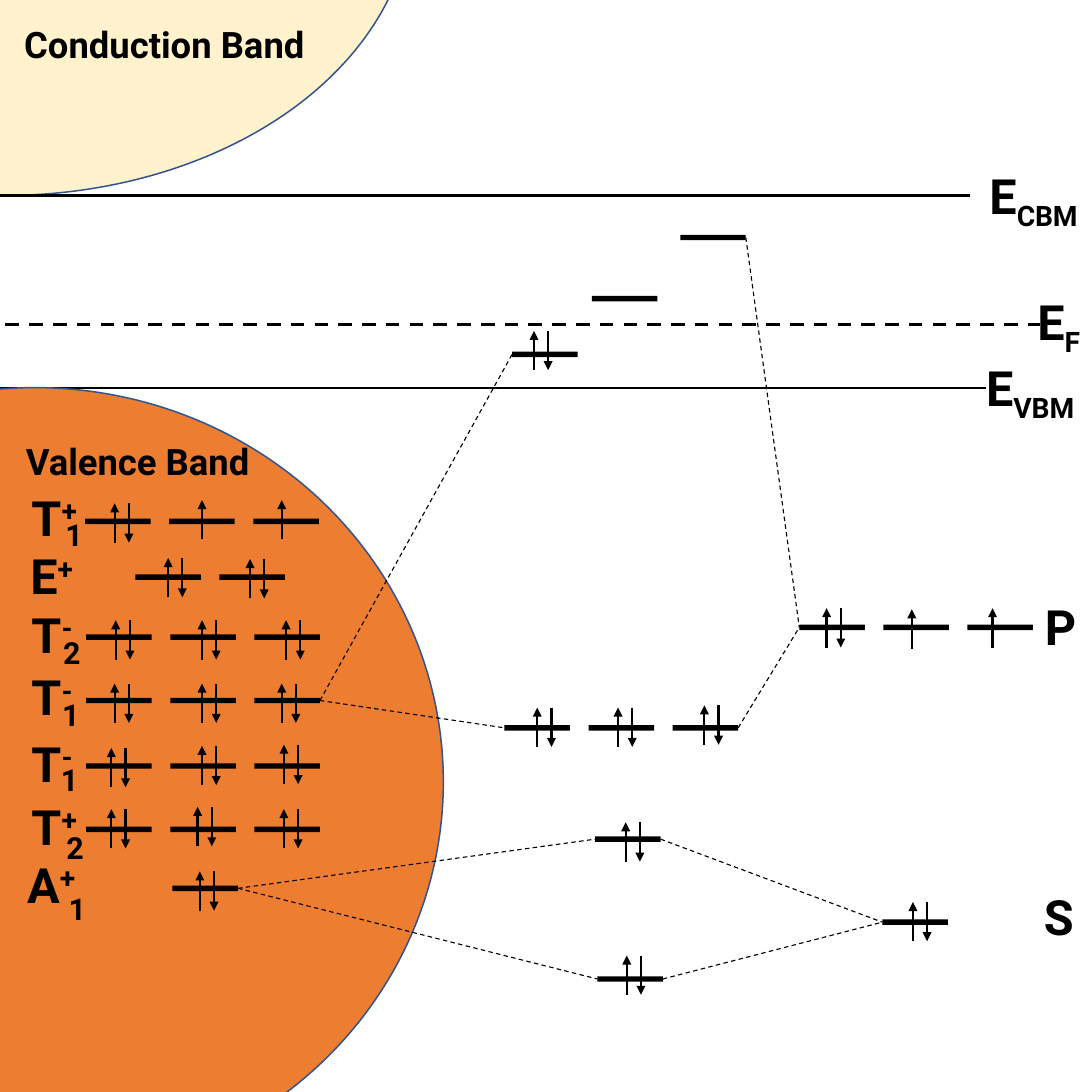
from pptx import Presentation
from pptx.dml.color import RGBColor
from pptx.enum.dml import MSO_LINE
from pptx.enum.shapes import MSO_CONNECTOR, MSO_SHAPE
from pptx.enum.text import PP_ALIGN
from pptx.oxml.ns import qn
from pptx.util import Inches, Pt
from lxml import etree

STRAIGHT = MSO_CONNECTOR.STRAIGHT
CIRCLE, BAR = MSO_SHAPE.FLOWCHART_CONNECTOR, MSO_SHAPE.RECTANGLE
DASH = MSO_LINE.DASH
LEFT, CENTER = PP_ALIGN.LEFT, PP_ALIGN.CENTER

THEME = {
    "font": "Roboto",
    "ink": RGBColor(0, 0, 0),
    "outline": RGBColor.from_string("325491"),
    "valence": RGBColor.from_string("ED7D31"),
    "conduction": RGBColor.from_string("FFF2CC"),
    "symbol": Pt(32), "band": Pt(24), "index": Pt(20),
}
BAR_WIDTH, BAR_HEIGHT, PITCH = 0.6, 0.05, 0.77
SPIN_HEIGHT, SPIN_GAP = 0.36, 0.13

deck = Presentation()
deck.slide_width = deck.slide_height = Inches(10)
slide = deck.slides.add_slide(deck.slide_layouts[6])


def add_line(start, end, width, dash=None, arrow=False):
    line = slide.shapes.add_connector(STRAIGHT, *map(Inches, (*start, *end)))
    line.line.color.rgb = THEME["ink"]
    line.line.width = Pt(width)
    if dash:
        line.line.dash_style = dash
    properties = line._element.spPr
    if arrow:
        etree.SubElement(properties.find(qn("a:ln")), qn("a:tailEnd"), type="triangle")
    etree.SubElement(properties, qn("a:effectLst"))


def add_label(frame, text, size, align=LEFT, script="", baseline=0, inset=True, wrap=True):
    box = slide.shapes.add_textbox(*map(Inches, frame)).text_frame
    box.word_wrap = wrap
    if not inset:
        for side in ("left", "top", "right", "bottom"):
            setattr(box, f"margin_{side}", 0)
    para = box.paragraphs[0]
    para.alignment = align
    for part, shift in ((text, 0), (script, baseline)):
        if part:
            span = para.add_run()
            span.text = part
            for name, value in {"name": THEME["font"], "size": THEME[size], "bold": True}.items():
                setattr(span.font, name, value)
            span.font.color.rgb = THEME["ink"]
            if shift:
                span._r.get_or_add_rPr().set("baseline", str(shift * 1000))


add_line((-0.35, 3.55), (9.03, 3.55), 1.5)
for band, frame in (("valence", (-3.42, 3.55, 7.48, 7.22)),
                    ("conduction", (-3.7, -3.66, 7.48, 5.45))):
    disc = slide.shapes.add_shape(CIRCLE, *map(Inches, frame))
    disc.shadow.inherit = False
    disc.fill.solid()
    disc.fill.fore_color.rgb = THEME[band]
    disc.line.color.rgb = THEME["outline"]
    disc.line.width = Pt(1)
add_line((-0.48, 1.79), (8.88, 1.79), 1.5)
add_line((0.05, 2.97), (9.52, 2.97), 2.25, DASH)

for frame, script, align, wrap in (
    ((8.88, 1.52, 1.17, 0.54), "CBM", CENTER, True),
    ((9.03, 3.28, 1.04, 0.54), "VBM", LEFT, True),
    ((9.5, 2.67, 0.48, 0.54), "F", LEFT, False),
):
    add_label(frame, "E", "symbol", align, script, -25, inset=False, wrap=wrap)
for frame, text, size in (
    ((9.47, 5.42, 0.42, 0.64), "P", "symbol"),
    ((9.46, 8.07, 0.42, 0.64), "S", "symbol"),
    ((0.05, 3.97, 2.42, 0.5), "Valence Band", "band"),
    ((0.02, 0.15, 2.97, 0.5), "Conduction Band", "band"),
):
    add_label(frame, text, size, CENTER)

for left, top, letter, sign, index, index_left, index_top in (
    (0.19, 4.42, "T", "+", "1", 0.5, 4.68),
    (0.18, 4.95, "E", "+", "", 0, 0),
    (0.19, 5.49, "T", "-", "2", 0.48, 5.76),
    (0.19, 6.06, "T", "-", "1", 0.47, 6.33),
    (0.19, 6.67, "T", "-", "1", 0.46, 6.92),
    (0.19, 7.25, "T", "+", "2", 0.51, 7.54),
    (0.15, 7.78, "A", "+", "1", 0.53, 8.1),
):
    add_label((left, top, 0.77, 0.64), letter, "symbol", LEFT, sign, 30)
    if index:
        add_label((index_left, index_top, 0.26, 0.44), index, "index", CENTER)

# level name: left, top, bar count, spins as (x, top, electrons)
LEVELS = {
    "T1 upper": (0.78, 4.75, 3, [(1.05, 4.61, 2), (1.85, 4.58, 1), (2.58, 4.58, 1)]),
    "E": (1.24, 5.26, 2, [(1.54, 5.11, 2), (2.29, 5.12, 2)]),
    "T2 upper": (0.79, 5.81, 3, [(1.06, 5.68, 2), (1.85, 5.68, 2), (2.62, 5.68, 2)]),
    "T1 middle": (0.79, 6.39, 3, [(1.05, 6.26, 2), (1.85, 6.26, 2), (2.58, 6.26, 2)]),
    "T1 lower": (0.79, 6.99, 3, [(1.02, 6.85, 2), (1.85, 6.83, 2), (2.6, 6.82, 2)]),
    "T2 lower": (0.79, 7.57, 3, [(1.02, 7.41, 2), (1.81, 7.39, 2), (2.6, 7.41, 2)]),
    "A1": (1.58, 8.11, 1, [(1.83, 7.98, 2)]),
    "gap low": (4.69, 3.22, 1, [(4.89, 3.03, 2)]),
    "gap middle": (5.42, 2.71, 1, []),
    "gap high": (6.23, 2.15, 1, []),
    "mixed P": (4.62, 6.64, 3, [(4.92, 6.48, 2), (5.66, 6.48, 2), (6.45, 6.46, 2)]),
    "mixed S high": (5.45, 7.66, 1, [(5.73, 7.53, 2)]),
    "mixed S low": (5.47, 8.94, 1, [(5.74, 8.75, 2)]),
    "P": (7.32, 5.72, 3, [(7.57, 5.57, 2), (8.35, 5.58, 1), (9.09, 5.57, 1)]),
    "S": (8.08, 8.42, 1, [(8.36, 8.26, 2)]),
}
starts, ends = {}, {}
for name, (left, top, count, spins) in LEVELS.items():
    for column in range(count):
        frame = (left + column * PITCH, top, BAR_WIDTH, BAR_HEIGHT)
        bar = slide.shapes.add_shape(BAR, *map(Inches, frame))
        bar.shadow.inherit = False
        bar.fill.solid()
        bar.fill.fore_color.rgb = THEME["ink"]
        bar.line.fill.background()
    for x, spin_top, electrons in spins:
        spin_bottom = spin_top + SPIN_HEIGHT
        add_line((x, spin_bottom), (x, spin_top), 1.5, arrow=True)
        if electrons == 2:
            add_line((x + SPIN_GAP, spin_top), (x + SPIN_GAP, spin_bottom), 1.5, arrow=True)
    middle = top + BAR_HEIGHT / 2
    starts[name] = (left, middle)
    ends[name] = (left + (count - 1) * PITCH + BAR_WIDTH, middle)

for source, target in (
    ("A1", "mixed S high"), ("A1", "mixed S low"),
    ("mixed S high", "S"), ("mixed S low", "S"),
    ("T1 middle", "mixed P"), ("T1 middle", "gap low"),
    ("mixed P", "P"), ("gap high", "P"),
):
    add_line(ends[source], starts[target], 0.75, DASH)

deck.save("out.pptx")
